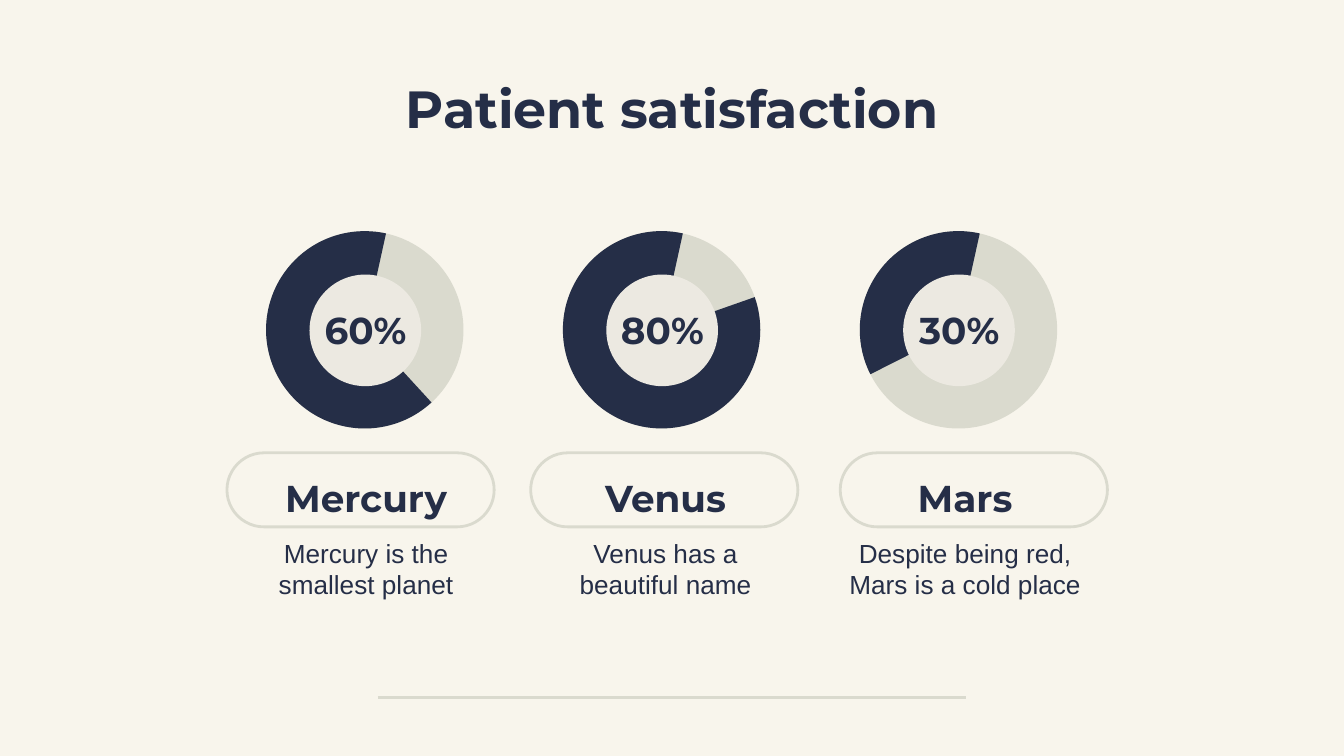
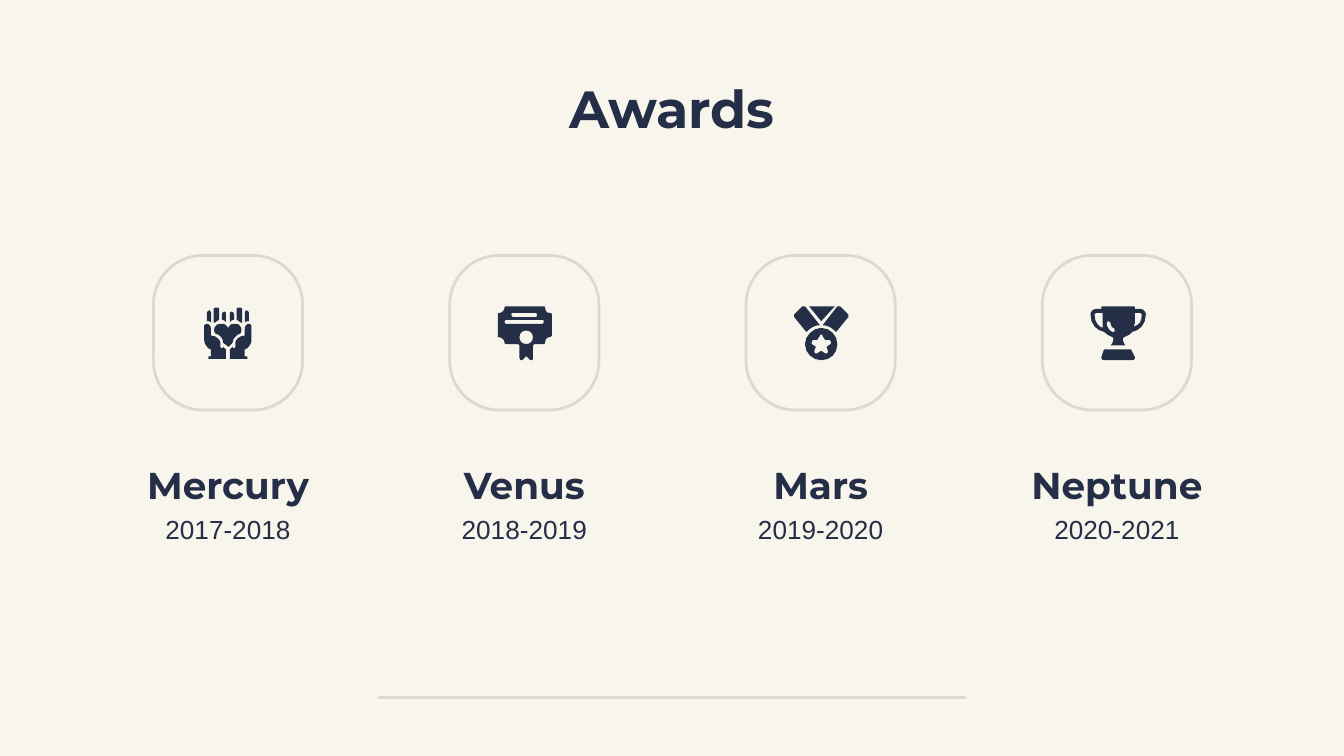
from lxml import etree
from pptx import Presentation
from pptx.dml.color import RGBColor
from pptx.enum.shapes import MSO_CONNECTOR, MSO_SHAPE
from pptx.enum.text import MSO_ANCHOR, PP_ALIGN
from pptx.oxml.ns import qn
from pptx.util import Cm, Pt

LINE = MSO_CONNECTOR.STRAIGHT
OVAL, ARC = MSO_SHAPE.OVAL, MSO_SHAPE.BLOCK_ARC
ROUND = MSO_SHAPE.ROUNDED_RECTANGLE
TOP, MIDDLE = MSO_ANCHOR.TOP, MSO_ANCHOR.MIDDLE
CENTER = PP_ALIGN.CENTER

# Shared look
CREAM = RGBColor(0xF8, 0xF5, 0xEC)
SAND = RGBColor(0xDA, 0xDA, 0xCE)
PALE = RGBColor(0xEC, 0xE9, 0xE1)
NAVY = RGBColor(0x25, 0x2E, 0x47)
TITLE = {"name": "Montserrat", "size": Pt(28), "bold": True}
HEAD = {"name": "Montserrat", "size": Pt(20), "bold": True}
BODY = {"name": "Arial", "size": Pt(14), "bold": False}
INSET = Cm(0.25)

# Icons on a 40-unit grid: (outline, width to mirror it across or 0)
GRID = 40
ICON = Cm(1.02)
HANDS = [
    ("M 6 3 C 5 3 4 4 4 5 L 4 11 C 5 11 6 11 7 12 L 7 5 C 7 4 6 3 6 3", 39),
    ("M 11 1 C 10 1 9 1 9 2 L 9 12 C 9 12 9 12 10 12 C 10 12 11 11 13 10 "
     "L 13 2 C 13 1 12 1 11 1", 39),
    ("M 17 4 C 16 4 15 5 15 6 L 15 10 C 16 10 18 11 18 12 L 18 6 "
     "C 18 5 18 4 17 4", 39),
    ("M 4 13 C 3 13 2 14 2 14 L 2 25 C 2 27 3 29 5 31 L 7 32 "
     "C 7 33 7 33 7 33 L 7 37 L 6 37 C 5 37 5 37 5 38 C 5 39 5 39 6 39 "
     "L 18 39 L 18 32 L 16 30 C 16 30 16 31 15 31 C 14 31 14 30 14 30 "
     "L 14 27 C 14 26 13 24 11 23 C 10 22 9 22 8 22 C 8 22 7 22 7 21 "
     "L 7 17 C 7 15 6 13 4 13", 39),
    ("M 15 13 C 14 13 12 13 11 14 C 9 16 9 18 10 20 C 14 21 16 24 16 27 "
     "L 20 30 L 23 27 C 23 24 26 21 29 20 C 30 18 30 16 28 14 "
     "C 27 13 26 13 25 13 C 24 13 22 13 21 14 L 20 16 L 18 14 "
     "C 17 13 16 13 15 13", 0),
]
PAPER = [
    ("M 28 5 C 29 5 29 6 29 6 C 29 7 29 8 28 8 L 11 8 C 11 8 10 7 10 6 "
     "C 10 5 11 5 11 5 "
     "M 33 10 C 34 10 34 11 34 11 C 34 12 34 13 33 13 L 6 13 "
     "C 5 13 5 12 5 11 C 5 11 6 10 6 10 "
     "M 21 18 C 24 18 26 20 26 23 C 26 26 24 28 21 28 "
     "C 18 28 16 26 16 23 C 16 20 18 18 21 18 "
     "M 6 0 C 6 0 5 0 5 1 C 5 3 3 5 1 5 C 0 5 0 6 0 6 L 0 22 "
     "C 0 23 0 23 1 23 C 3 23 5 25 5 27 C 5 28 6 28 6 28 L 15 28 L 16 29 "
     "L 16 38 C 16 39 17 40 17 40 C 17 40 18 40 18 40 L 21 37 L 24 40 "
     "C 25 40 25 40 25 40 C 26 40 26 39 26 38 L 26 29 L 27 28 L 33 28 "
     "C 34 28 35 28 35 27 C 35 25 36 23 38 23 C 39 23 40 22 40 22 L 40 6 "
     "C 40 5 39 5 38 5 C 36 5 35 3 35 1 C 35 0 34 0 33 0", 0),
]
MEDAL = [
    ("M 20 21 C 21 21 21 21 21 22 L 23 25 L 26 25 C 27 25 28 27 27 28 "
     "L 24 30 L 25 33 C 25 34 25 35 24 35 C 24 35 23 35 23 35 L 20 33 "
     "L 17 35 C 17 35 16 35 16 35 C 15 35 15 34 15 33 L 16 30 L 13 28 "
     "C 13 27 13 25 14 25 L 17 25 L 19 22 C 19 21 20 21 20 21 "
     "M 20 16 C 14 16 8 22 8 28 C 8 35 14 40 20 40 C 27 40 32 35 32 28 "
     "C 32 22 27 16 20 16", 0),
    ("M 7 0 C 7 0 6 0 6 0 L 0 6 C 0 6 0 7 0 8 L 9 19 C 12 16 15 14 19 14 "
     "L 8 0 C 8 0 7 0 7 0", 40),
    ("M 11 0 L 20 11 L 30 0", 0),
]
CUP = [
    ("M 37 5 C 37 5 38 6 38 6 C 38 12 36 14 32 15 C 32 14 33 13 33 12 L 33 5 "
     "M 9 5 L 9 12 C 9 13 9 14 9 16 C 6 15 3 12 3 6 C 3 6 4 5 4 5 "
     "M 13 11 C 14 11 15 12 15 13 C 15 14 16 16 17 16 C 18 17 18 17 18 18 "
     "C 18 19 17 19 16 19 C 14 18 12 15 12 13 C 12 12 13 11 13 11 "
     "M 10 0 C 9 0 8 0 8 1 L 8 2 L 4 2 C 2 2 0 4 0 6 C 0 14 5 18 10 19 "
     "C 14 23 17 22 17 24 C 17 26 16 28 15 29 L 26 29 C 25 28 24 26 24 24 "
     "C 24 22 28 23 31 19 C 36 18 41 14 41 6 C 41 4 39 2 37 2 L 33 2 L 33 1 "
     "C 33 0 32 0 31 0", 0),
    ("M 10 32 L 8 38 C 8 39 9 40 10 40 L 31 40 C 32 40 33 39 33 38 L 30 32",
     0),
]

# Contents: pill left, label, text, share, start angle of the dark arc
RATES = [
    (4.29, "Mercury", "Mercury is the smallest planet", "60%", 47.43),
    (10.03, "Venus", "Venus has a\nbeautiful name", "80%", 340.67),
    (15.88, "Mars", "Despite being red, Mars is a cold place", "30%", 153.21),
]
ARC_END = 282.45
AWARDS = [
    ("Mercury", "2017-2018", HANDS),
    ("Venus", "2018-2019", PAPER),
    ("Mars", "2019-2020", MEDAL),
    ("Neptune", "2020-2021", CUP),
]


def add_text(slide, text, box, style, anchor=MIDDLE, gap=None):
    frame = slide.shapes.add_textbox(*map(Cm, box)).text_frame
    frame.word_wrap = True
    frame.vertical_anchor = anchor
    for side in ("left", "right", "top", "bottom"):
        setattr(frame, f"margin_{side}", INSET)
    frame.text = text
    for para in frame.paragraphs:
        para.alignment = CENTER
        para.line_spacing = gap
        para.font.color.rgb = NAVY
        for key, value in style.items():
            setattr(para.font, key, value)


def paint(shape, color):
    shape.shadow.inherit = False
    shape.fill.solid()
    shape.fill.fore_color.rgb = color
    shape.line.fill.background()


def add_disc(slide, kind, left, top, size, color):
    disc = slide.shapes.add_shape(kind, *map(Cm, (left, top, size, size)))
    paint(disc, color)
    return disc


def add_frame(slide, box, bend):
    frame = slide.shapes.add_shape(ROUND, *map(Cm, box))
    frame.shadow.inherit = False
    frame.adjustments[0] = bend
    frame.fill.background()
    frame.line.color.rgb = SAND
    frame.line.width = Pt(1.5)


def add_ring(slide, left, top, start):
    add_disc(slide, OVAL, left, top, 3.73, SAND)
    arc = add_disc(slide, ARC, left, top, 3.73, NAVY)
    # Angles are stored in 60000ths of a degree, scaled by 100000
    for i, value in enumerate((start * 0.6, ARC_END * 0.6, 0.23)):
        arc.adjustments[i] = value
    add_disc(slide, OVAL, left + 0.82, top + 0.82, 2.11, PALE)


def trace(part):
    """Turn one contour of lines and cubic curves into points."""
    points = []
    for step in part.replace("L", "|L").replace("C", "|C").split("|"):
        nums = [int(word) for word in step.split() if word not in "LC"]
        ends = list(zip(nums[::2], nums[1::2]))
        if len(ends) == 1:
            points += ends
            continue
        knots = [points[-1]] + ends
        for t in (0.25, 0.5, 0.75, 1):
            u = 1 - t
            parts = (u ** 3, 3 * u * u * t, 3 * u * t * t, t ** 3)
            points.append(tuple(sum(w * k[axis] for w, k in zip(parts, knots))
                                for axis in (0, 1)))
    return points


def add_icon(slide, icon, left, top):
    group = slide.shapes.add_group_shape().shapes

    def draw(parts, width):
        pen = None
        for part in parts:
            spots = [(Cm(left) + (width - x if width else x) * ICON / GRID,
                      Cm(top) + y * ICON / GRID) for x, y in part]
            if pen is None:
                pen = group.build_freeform(*spots[0])
            else:
                pen.move_to(*spots[0])
            pen.add_line_segments(spots[1:], close=True)
        paint(pen.convert_to_shape(), NAVY)

    for outline, width in icon:
        parts = [trace(part) for part in outline.split("M")[1:]]
        draw(parts, 0)
        if width:
            draw(parts, width)


def add_page(deck, title):
    slide = deck.slides.add_slide(deck.slide_layouts[6])
    slide.background.fill.solid()
    slide.background.fill.fore_color.rgb = CREAM
    rule = slide.shapes.add_connector(
        LINE, *map(Cm, (7.14, 13.18, 18.26, 13.18)))
    rule.line.color.rgb = SAND
    rule.line.width = Pt(1.5)
    etree.SubElement(rule._element.spPr, qn("a:effectLst"))
    add_text(slide, title, (2, 1.24, 21.4, 1.6), TITLE)
    return slide


def main():
    deck = Presentation()
    deck.slide_width, deck.slide_height = Cm(25.4), Cm(14.29)

    # Satisfaction rings
    slide = add_page(deck, "Patient satisfaction")
    for i, (pill, name, note, rate, start) in enumerate(RATES):
        left, ring = 4.42 + i * 5.66, 5.03 + i * 5.61
        add_frame(slide, (pill, 8.56, 5.05, 1.4), 0.5)
        add_text(slide, note, (left, 9.86, 5, 1.78), BODY)
        add_text(slide, name, (left, 8.61, 5, 1.27), HEAD, TOP, 1.15)
        add_ring(slide, ring, 4.37, start)
        add_text(slide, rate, (ring + 0.61, 5.51, 2.54, 1.45), HEAD)

    # Award cards
    slide = add_page(deck, "Awards")
    for i, (name, years, icon) in enumerate(AWARDS):
        shift = i * 5.6
        add_frame(slide, (2.9 + shift, 4.83, 2.82, 2.92), 0.33)
        add_icon(slide, icon, 3.81 + shift, 5.79)
        add_text(slide, years, (1.96 + shift, 9.47, 4.7, 1.07), BODY)
        add_text(slide, name, (1.96 + shift, 8.56, 4.7, 1.07), HEAD,
                 gap=1.15)

    deck.save("out.pptx")


if __name__ == "__main__":
    main()
